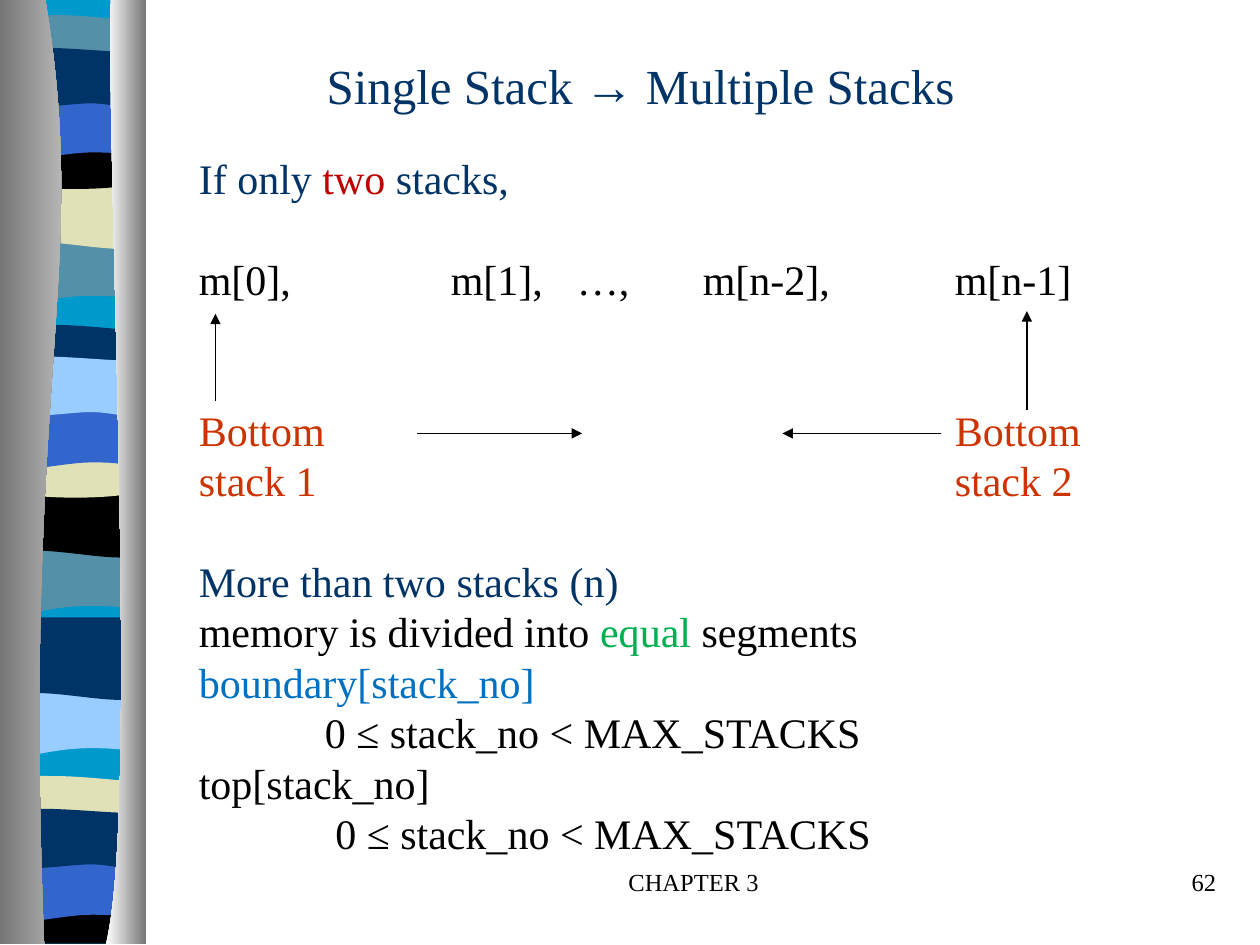
from typing import NamedTuple

import pptx
import pptx.dml.color
import pptx.enum.text
import pptx.oxml
import pptx.oxml.ns
import pptx.util

PX = 9144  # EMU per px, 100 px to the inch
TAB = 100  # px between tab stops
TAB_COUNT = 6
FONT = "Times New Roman"
LEADING = 1.2

RGB = pptx.dml.color.RGBColor
ALIGN = pptx.enum.text.PP_ALIGN
BLACK = RGB(0x00, 0x00, 0x00)
WHITE = RGB(0xFF, 0xFF, 0xFF)
SILVER = RGB(0xD3, 0xD3, 0xD3)
GREY = RGB(0x76, 0x76, 0x76)
NAVY = RGB(0x00, 0x33, 0x66)
BLUE = RGB(0x33, 0x66, 0xCC)
SKY = RGB(0x99, 0xCC, 0xFF)
CYAN = RGB(0x00, 0x99, 0xCC)
TEAL = RGB(0x54, 0x90, 0xA8)
CREAM = RGB(0xE1, 0xE1, 0xB7)
RED = RGB(0xC0, 0x00, 0x00)
RUST = RGB(0xCC, 0x33, 0x00)
GREEN = RGB(0x00, 0xB0, 0x50)
AZURE = RGB(0x00, 0x70, 0xC0)

# Outlines: a start point, then (x, y) for a line or six numbers for a curve
Outline = list[tuple[int, ...]]
BASE = [(114, 0), (114, 749), (5, 749), (5, 0)]
WAVE = [(114, 0), (114, 62), (39, 51, 24, 73, 5, 62), (5, 0)]
DIP = [(114, 0), (114, 62), (96, 73, 39, 54, 6, 62), (6, 0)]
CREST = [(114, 0), (114, 32), (96, 38, 24, 38, 5, 32), (5, 0),
         (12, -7, 29, -5, 47, -5), (65, -5, 100, -1, 114, 0)]
SAG = [(114, 0), (114, 42), (96, 50, 24, 50, 5, 42), (5, 0), (72, 7, 91, 0, 114, 0)]
FLOOR = [(114, 0), (114, 37), (5, 37), (5, 0), (72, 5, 91, 0, 114, 0)]
ARCH = [(114, 0), (114, 62), (97, 55, 90, 55, 72, 55), (54, 55, 22, 62, 5, 62), (5, 0)]
SWELL = [(114, 0), (114, 41), (107, 48, 90, 41, 72, 41), (54, 41, 17, 48, 5, 41),
         (5, 0), (21, -7, 79, 0, 97, 0)]
LEFT_PILLAR = [(36, 0), (72, 216, 17, 296, 35, 749), (0, 749), (0, 0)]
RIGHT_PILLAR = [(88, 0), (84, 125, 111, 646, 84, 749), (116, 749), (116, 0)]


class Band(NamedTuple):
    outline: Outline
    top: int
    color: RGB


class Run(NamedTuple):
    text: str
    color: RGB = BLACK


class Line(NamedTuple):
    runs: list[Run]
    gap: int = 0  # empty lines above


class Label(NamedTuple):
    box: tuple[int, int, int, int]
    size: int
    lines: list[Line]
    align: ALIGN = ALIGN.LEFT
    wrap: bool = True


class Arrow(NamedTuple):
    x1: int
    y1: int
    x2: int
    y2: int


BANDS = [
    Band(BASE, 0, CYAN),
    Band(WAVE, 176, TEAL), Band(DIP, 132, CREAM), Band(CREST, 17, TEAL),
    Band(SAG, 102, BLACK), Band(ARCH, 66, BLUE), Band(SWELL, 41, NAVY),
    Band(WAVE, 422, TEAL), Band(DIP, 377, BLACK), Band(CREST, 263, NAVY),
    Band(SAG, 347, CREAM), Band(ARCH, 312, BLUE), Band(SWELL, 286, SKY),
    Band(WAVE, 535, SKY), Band(DIP, 490, NAVY), Band(CREST, 621, CREAM),
    Band(FLOOR, 712, BLACK), Band(ARCH, 671, BLUE), Band(SWELL, 645, NAVY),
]

BODY = [
    Line([Run("If only ", NAVY), Run("two", RED), Run(" stacks,", NAVY)]),
    Line([Run("m[0], \t\tm[1],\t…, \tm[n-2],\tm[n-1]")], gap=1),
    Line([Run("Bottom\t\t\t\t\tBottom", RUST)], gap=2),
    Line([Run("stack 1\t\t\t\t\t\tstack 2", RUST)]),
    Line([Run("More than two stacks (n)", NAVY)], gap=1),
    Line([Run("memory is divided into "), Run("equal", GREEN), Run(" segments")]),
    Line([Run("boundary[stack_no]", AZURE)]),
    Line([Run("\t0 ≤ stack_no < MAX_STACKS")]),
    Line([Run("top[stack_no]")]),
    Line([Run("\t 0 ≤ stack_no < MAX_STACKS")]),
]
# The first word is wider than one tab, so it needs one tab fewer than six
LABELS = [
    Label((392, 683, 317, 50), 14, [Line([Run("CHAPTER 3")])], ALIGN.CENTER),
    Label((767, 683, 208, 50), 14, [Line([Run("62")])], ALIGN.RIGHT),
    Label((247, 39, 523, 57), 28, [Line([Run("Single Stack → Multiple Stacks", NAVY)])],
          ALIGN.CENTER, wrap=False),
    Label((148, 116, 730, 576), 24, BODY),
]

ARROWS = [Arrow(331, 344, 462, 344), Arrow(747, 344, 621, 344),
          Arrow(171, 318, 171, 249), Arrow(815, 325, 815, 247)]


def draw_outline(s, outline: Outline, top: int = 0):
    """Draw a closed freeform, joining each curve's three points into one Bezier."""
    points = [(seg[i] * PX, (seg[i + 1] + top) * PX)
              for seg in outline for i in range(0, len(seg), 2)]
    builder = s.shapes.build_freeform(*points[0], scale=1.0)
    builder.add_line_segments(points[1:], close=True)
    sp = builder.convert_to_shape()
    steps = iter(list(sp._element.iter(pptx.oxml.ns.qn("a:lnTo"))))
    for seg in outline[1:]:
        step = next(steps)
        if len(seg) == 6:
            step.tag = pptx.oxml.ns.qn("a:cubicBezTo")
            for _ in range(2):
                extra = next(steps)
                step.append(extra[0])
                extra.getparent().remove(extra)
    sp.shadow.inherit = False
    sp.line.fill.background()
    return sp


def draw_band(s, band: Band) -> None:
    sp = draw_outline(s, band.outline, band.top)
    sp.fill.solid()
    sp.fill.fore_color.rgb = band.color


def draw_pillar(s, outline: Outline, left: RGB, right: RGB) -> None:
    fill = draw_outline(s, outline).fill
    fill.gradient()
    fill.gradient_angle = 0
    for stop, color in zip(fill.gradient_stops, (left, right)):
        stop.color.rgb = color


def add_tab_stops(p) -> None:
    stops = "".join(f'<a:tab pos="{i * TAB * PX}" algn="l"/>' for i in range(1, TAB_COUNT + 1))
    ns = pptx.oxml.ns.nsdecls("a")
    p._p.get_or_add_pPr().append(pptx.oxml.parse_xml(f"<a:tabLst {ns}>{stops}</a:tabLst>"))


def draw_label(s, label: Label) -> None:
    tf = s.shapes.add_textbox(*(v * PX for v in label.box)).text_frame
    tf.word_wrap = label.wrap
    leading = label.size * LEADING
    for i, line in enumerate(label.lines):
        p = tf.add_paragraph() if i else tf.paragraphs[0]
        layout = {"alignment": label.align, "line_spacing": pptx.util.Pt(leading),
                  "space_before": pptx.util.Pt(line.gap * leading)}
        for name, value in layout.items():
            setattr(p, name, value)
        if any("\t" in run.text for run in line.runs):
            add_tab_stops(p)
        for run in line.runs:
            r = p.add_run()
            r.text = run.text
            for name, value in {"name": FONT, "size": pptx.util.Pt(label.size)}.items():
                setattr(r.font, name, value)
            r.font.color.rgb = run.color


def draw_arrow(s, arrow: Arrow) -> None:
    sp = s.shapes.add_connector(1, *(v * PX for v in arrow))
    sp.line.width = pptx.util.Pt(0.75)
    sp.line.color.rgb = BLACK
    ns = pptx.oxml.ns.nsdecls("a")
    sp.line._get_or_add_ln().append(pptx.oxml.parse_xml(f'<a:tailEnd {ns} type="triangle"/>'))
    sp._element.spPr.append(pptx.oxml.parse_xml(f"<a:effectLst {ns}/>"))


def main() -> None:
    prs = pptx.Presentation()
    prs.slide_width, prs.slide_height = 1000 * PX, 750 * PX
    s = prs.slides.add_slide(prs.slide_layouts[6])
    # Striped column between two pillars
    for band in BANDS:
        draw_band(s, band)
    draw_pillar(s, LEFT_PILLAR, GREY, SILVER)
    draw_pillar(s, RIGHT_PILLAR, WHITE, GREY)
    # Text and arrows
    for label in LABELS:
        draw_label(s, label)
    for arrow in ARROWS:
        draw_arrow(s, arrow)
    prs.save("out.pptx")


if __name__ == "__main__":
    main()
